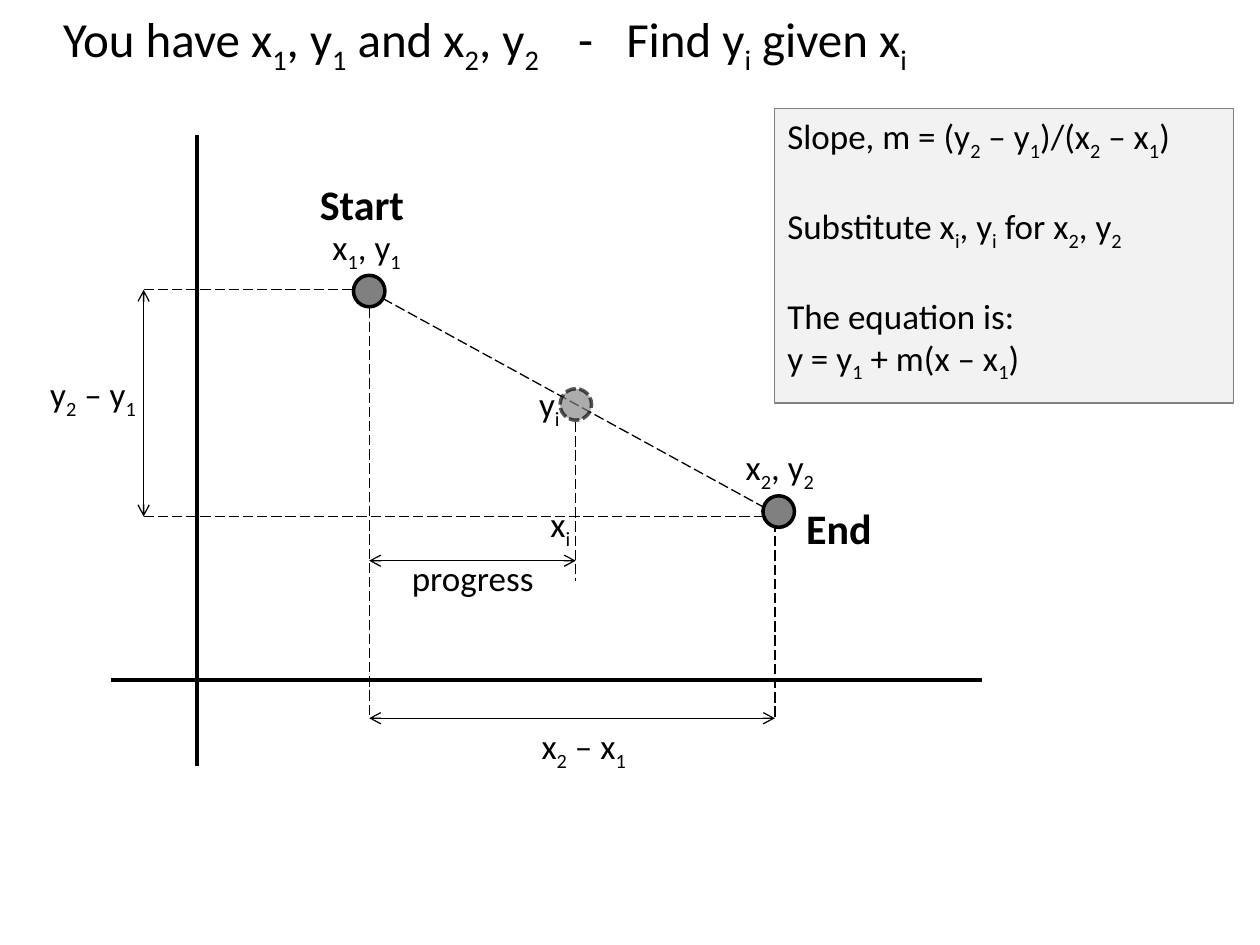
"""Build the slide that explains linear interpolation between two points."""
from lxml.etree import SubElement
from pptx import Presentation
from pptx.dml.color import RGBColor
from pptx.enum.dml import MSO_LINE
from pptx.enum.shapes import MSO_CONNECTOR, MSO_SHAPE
from pptx.enum.text import MSO_ANCHOR, MSO_AUTO_SIZE, PP_ALIGN
from pptx.oxml.ns import qn
from pptx.util import Inches, Pt

BLACK = RGBColor(0x00, 0x00, 0x00)
GRAY = RGBColor(0x80, 0x80, 0x80)
PALE = RGBColor(0xF2, 0xF2, 0xF2)


class Diagram:
    """Holds the style and the page; lengths are cells of a 100 by 75 grid."""

    font = "Calibri"
    columns, rows = 100, 75

    def __init__(self, deck):
        self.cell_width = deck.slide_width / self.columns
        self.cell_height = deck.slide_height / self.rows
        self.page = deck.slides.add_slide(deck.slide_layouts[5])

    def place(self, column, row, width, height):
        """Turn grid cells into lengths."""
        return (round(column * self.cell_width), round(row * self.cell_height),
                round(width * self.cell_width), round(height * self.cell_height))

    def add_text(self, para, text, size, bold=False):
        """Add runs to a paragraph; the letter after an underscore is lowered."""
        para.alignment = PP_ALIGN.LEFT
        first, *others = text.split("_")
        pieces = [(first, False)]
        for other in others:
            pieces += [(other[0], True), (other[1:], False)]
        for piece, lowered in pieces:
            if piece:
                span = para.add_run()
                span.text = piece
                span.font.name, span.font.size = self.font, Pt(size)
                span.font.bold = bold
                span.font.color.rgb = BLACK
                if lowered:
                    span.font._element.set("baseline", "-25000")

    def title(self, text, area, size=28):
        """Move and fill the title placeholder."""
        box = self.page.shapes.title
        box.left, box.top, box.width, box.height = self.place(*area)
        box.text_frame.auto_size = MSO_AUTO_SIZE.NONE
        box.text_frame.vertical_anchor = MSO_ANCHOR.TOP
        self.add_text(box.text_frame.paragraphs[0], text, size)

    def label(self, text, area, size=20, bold=False):
        """Add a one-line text box."""
        frame = self.page.shapes.add_textbox(*self.place(*area)).text_frame
        frame.word_wrap = False
        self.add_text(frame.paragraphs[0], text, size, bold)

    def shape(self, kind, area, fill, line, weight):
        """Add a filled and outlined shape."""
        shape = self.page.shapes.add_shape(kind, *self.place(*area))
        shape.shadow.inherit = False
        shape.fill.solid()
        shape.fill.fore_color.rgb = fill
        shape.line.color.rgb = line
        shape.line.width = Pt(weight)
        return shape

    def panel(self, groups, area, size=20):
        """Add a panel whose groups of lines are set one line apart."""
        box = self.shape(MSO_SHAPE.RECTANGLE, area, PALE, GRAY, 0.75)
        frame = box.text_frame
        frame.word_wrap = True
        frame.vertical_anchor = MSO_ANCHOR.TOP
        para = frame.paragraphs[0]
        for number, group in enumerate(groups):
            for order, text in enumerate(group):
                if number or order:
                    para = frame.add_paragraph()
                if number and not order:
                    para.space_before = Pt(24)
                self.add_text(para, text, size)

    def point(self, column, row, faded=False, size=2.5):
        """Add a round marker centred on a grid position."""
        area = (column - size / 2, row - size / 2, size, size)
        marker = self.shape(MSO_SHAPE.OVAL, area, GRAY, BLACK, 2)
        if faded:
            marker.line.dash_style = MSO_LINE.SQUARE_DOT
            for color in marker._element.spPr.iter(qn("a:srgbClr")):
                SubElement(color, qn("a:alpha"), val="65000")

    def line(self, begin, end, weight=0.75, dashed=False, arrows=False):
        """Add a straight line, dashed or with an arrowhead at both ends."""
        connector = self.page.shapes.add_connector(
            MSO_CONNECTOR.STRAIGHT, *self.place(*begin, *end))
        connector.line.color.rgb = BLACK
        connector.line.width = Pt(weight)
        if dashed:
            connector.line.dash_style = MSO_LINE.LONG_DASH
        if arrows:
            for tag in ("a:headEnd", "a:tailEnd"):
                SubElement(connector.line._get_or_add_ln(), qn(tag), type="arrow")
        SubElement(connector._element.spPr, qn("a:effectLst"))


def main():
    """Draw the axes, points, guides, spans and labels."""
    deck = Presentation()
    deck.slide_width, deck.slide_height = Inches(10), Inches(7.5)
    diagram = Diagram(deck)
    diagram.title("You have x_1, y_1 and x_2, y_2\t -   Find y_i given x_i",
                  (4, 0.2, 87.7, 5.7))

    start_x, middle_x, end_x = 29.3, 45.7, 61.5
    start_y, end_y = 23, 41
    height_x, width_y, progress_y = 11.4, 57, 44.5

    for begin, end in (((15.6, 10.7), (15.6, 60.8)), ((8.8, 54), (77.9, 54))):
        diagram.line(begin, end, weight=2.25)

    guides = (
        ((end_x, 40.3), (end_x, width_y)),
        ((30.4, 23.7), (60.7, 40.3)),
        ((start_x, 24.4), (start_x, width_y)),
        ((height_x, start_y), (28.1, start_y)),
        ((height_x, end_y), (60.7, end_y)),
        ((middle_x, 33.5), (middle_x, 46.1)),
    )
    for begin, end in guides:
        diagram.line(begin, end, dashed=True)

    spans = (
        ((start_x, width_y), (end_x, width_y)),
        ((height_x, end_y), (height_x, start_y)),
        ((start_x, progress_y), (middle_x, progress_y)),
    )
    for begin, end in spans:
        diagram.line(begin, end, arrows=True)

    diagram.point(start_x, 23.1)
    diagram.point(61.8, 40.6)
    diagram.point(middle_x, 32.1, faded=True)

    diagram.panel((("Slope, m = (y_2 – y_1)/(x_2 – x_1)",),
                   ("Substitute x_i, y_i for x_2, y_2",),
                   ("The equation is:", "y = y_1 + m(x – x_1)")),
                  (61.5, 8.6, 36.4, 23.4))

    labels = (
        ("x_1, y_1", 25.4, 17.4, 7.7),
        ("x_2, y_2", 58.2, 34.9, 7.7),
        ("y_i", 41.8, 29.9, 3.7),
        ("x_i", 42.7, 39.4, 3.7),
        ("x_2 – x_1", 42, 57, 9),
        ("y_2 – y_1", 3, 29.1, 9.1),
        ("progress", 31.7, 43.7, 11.8),
    )
    for text, column, row, width in labels:
        diagram.label(text, (column, row, width, 4.4))
    diagram.label("Start", (24.4, 13.7, 8.8, 5), size=24, bold=True)
    diagram.label("End", (63, 39.4, 7.3, 5), size=24, bold=True)

    deck.save("out.pptx")


if __name__ == "__main__":
    main()
